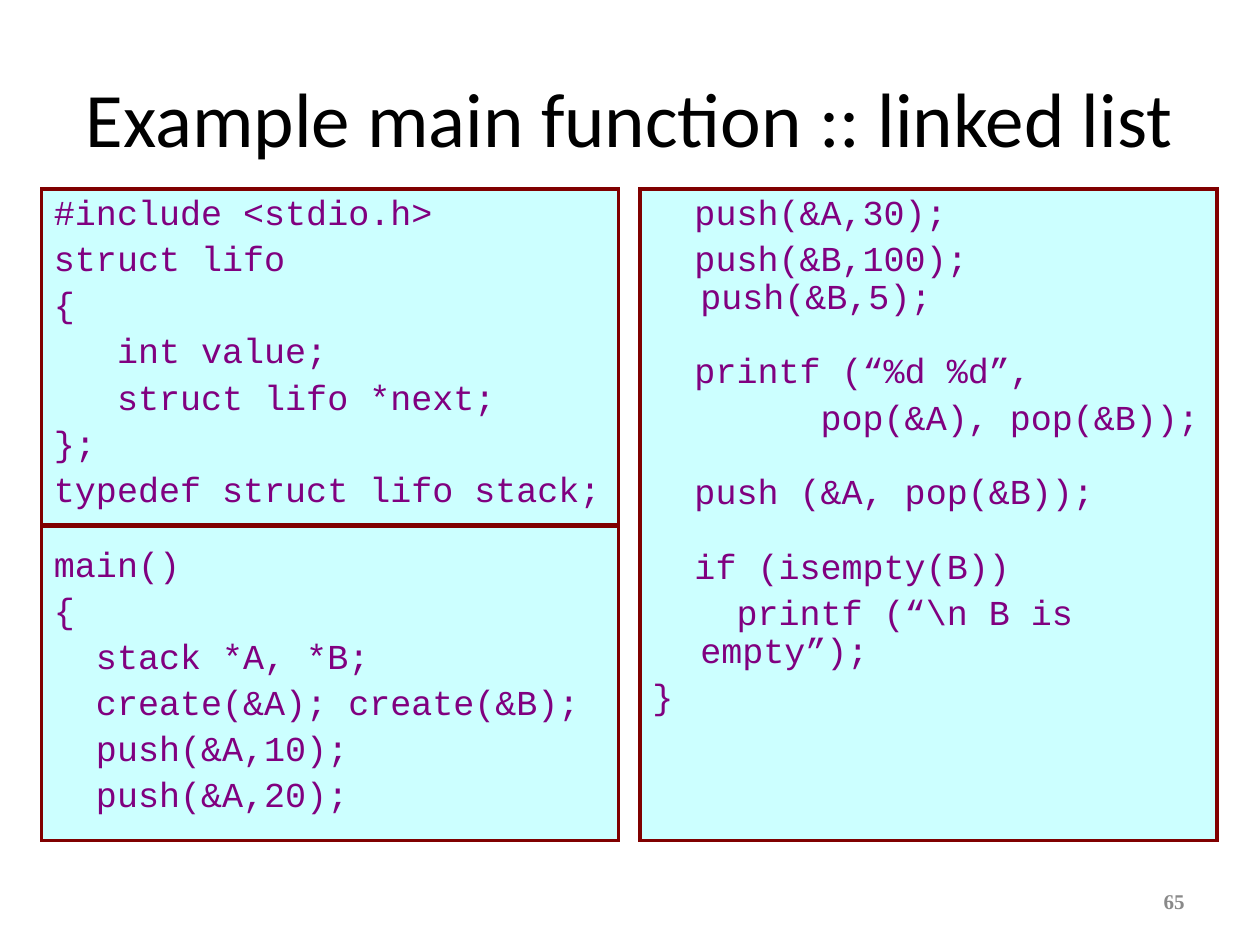
from lxml.etree import SubElement
from pptx import Presentation
from pptx.dml.color import RGBColor
from pptx.enum.shapes import MSO_CONNECTOR as Connector, MSO_SHAPE as Shape
from pptx.enum.text import MSO_ANCHOR as Anchor, PP_ALIGN as Align
from pptx.oxml.ns import qn
from pptx.util import Inches, Pt

BLACK = RGBColor(0x00, 0x00, 0x00)
GRAY = RGBColor(0x89, 0x89, 0x89)
PURPLE = RGBColor(0x80, 0x00, 0x80)
MAROON = RGBColor(0x80, 0x00, 0x00)
PALE_CYAN = RGBColor(0xCC, 0xFF, 0xFF)

PANEL_TOP, PANEL_WIDTH, PANEL_HEIGHT = 1.5, 4.58, 5.17
LEFT_PANEL, RIGHT_PANEL = 0.33, 5.08
DIVIDER_TOP = 4.17
HANGING = 0.38
LINE_GAP, GROUP_GAP = 4.8, 21

STACK_CODE = [
    """#include <stdio.h>
struct lifo
{
   int value;
   struct lifo *next;
};
typedef struct lifo stack;""",
    """main()
{
  stack *A, *B;
  create(&A); create(&B);
  push(&A,10);
  push(&A,20);""",
]
USAGE_CODE = [
    """  push(&A,30);
  push(&B,100);  push(&B,5);""",
    """  printf (“%d %d”,
        pop(&A), pop(&B));""",
    "  push (&A, pop(&B));",
    r"""  if (isempty(B))
    printf (“\n B is empty”);
}""",
]


def write(para, text, *, font, size, color, bold=False, align=Align.LEFT):
    """Add formatted text to a paragraph."""
    para.alignment = align
    span = para.add_run()
    span.text = text
    span.font.name = font
    span.font.size = Pt(size)
    span.font.bold = bold
    span.font.color.rgb = color


def add_label(page, left, top, width, height, text, **text_format):
    """Place one line of vertically centred text in the given box."""
    box = page.shapes.add_textbox(Inches(left), Inches(top), Inches(width), Inches(height))
    frame = box.text_frame
    frame.word_wrap = True
    frame.vertical_anchor = Anchor.MIDDLE
    write(frame.paragraphs[0], text, **text_format)


def add_code_panel(page, left, top, width, height, groups):
    """Fill a bordered panel with groups of code lines."""
    panel = page.shapes.add_shape(
        Shape.RECTANGLE, Inches(left), Inches(top), Inches(width), Inches(height))
    panel.shadow.inherit = False
    panel.fill.solid()
    panel.fill.fore_color.rgb = PALE_CYAN
    panel.line.color.rgb = MAROON
    panel.line.width = Pt(2)
    SubElement(panel.line._ln, qn("a:miter"), lim="800000")
    frame = panel.text_frame
    frame.word_wrap = True
    frame.vertical_anchor = Anchor.TOP
    para = None
    for group in groups:
        for index, line in enumerate(group.splitlines()):
            if para is None:
                para = frame.paragraphs[0]
            else:
                para = frame.add_paragraph()
                para.space_before = Pt(LINE_GAP if index else GROUP_GAP)
            para.line_spacing = 0.9
            properties = para._p.get_or_add_pPr()
            properties.set("marL", str(Inches(HANGING)))
            properties.set("indent", str(-Inches(HANGING)))
            write(para, line, font="Courier New", size=20, color=PURPLE)


def add_divider(page, left, top, width):
    """Draw a horizontal rule across a panel."""
    rule = page.shapes.add_connector(
        Connector.STRAIGHT, Inches(left), Inches(top), Inches(left + width), Inches(top))
    rule.line.color.rgb = MAROON
    rule.line.width = Pt(2.5)
    SubElement(rule._element.spPr, qn("a:effectLst"))


def main():
    """Build the linked list example slide."""
    deck = Presentation()
    deck.slide_width, deck.slide_height = Inches(10), Inches(7.5)
    page = deck.slides.add_slide(deck.slide_layouts[6])
    add_label(page, 0.5, 0.3, 9, 1.25, "Example main function :: linked list",
              font="Calibri", size=44, color=BLACK, align=Align.CENTER)
    for left, groups in ((LEFT_PANEL, STACK_CODE), (RIGHT_PANEL, USAGE_CODE)):
        add_code_panel(page, left, PANEL_TOP, PANEL_WIDTH, PANEL_HEIGHT, groups)
    add_label(page, 7.17, 6.95, 2.33, 0.4, "65", font="Times New Roman", size=12,
              color=GRAY, bold=True, align=Align.RIGHT)
    add_divider(page, LEFT_PANEL, DIVIDER_TOP, PANEL_WIDTH)
    deck.save("out.pptx")


if __name__ == "__main__":
    main()
